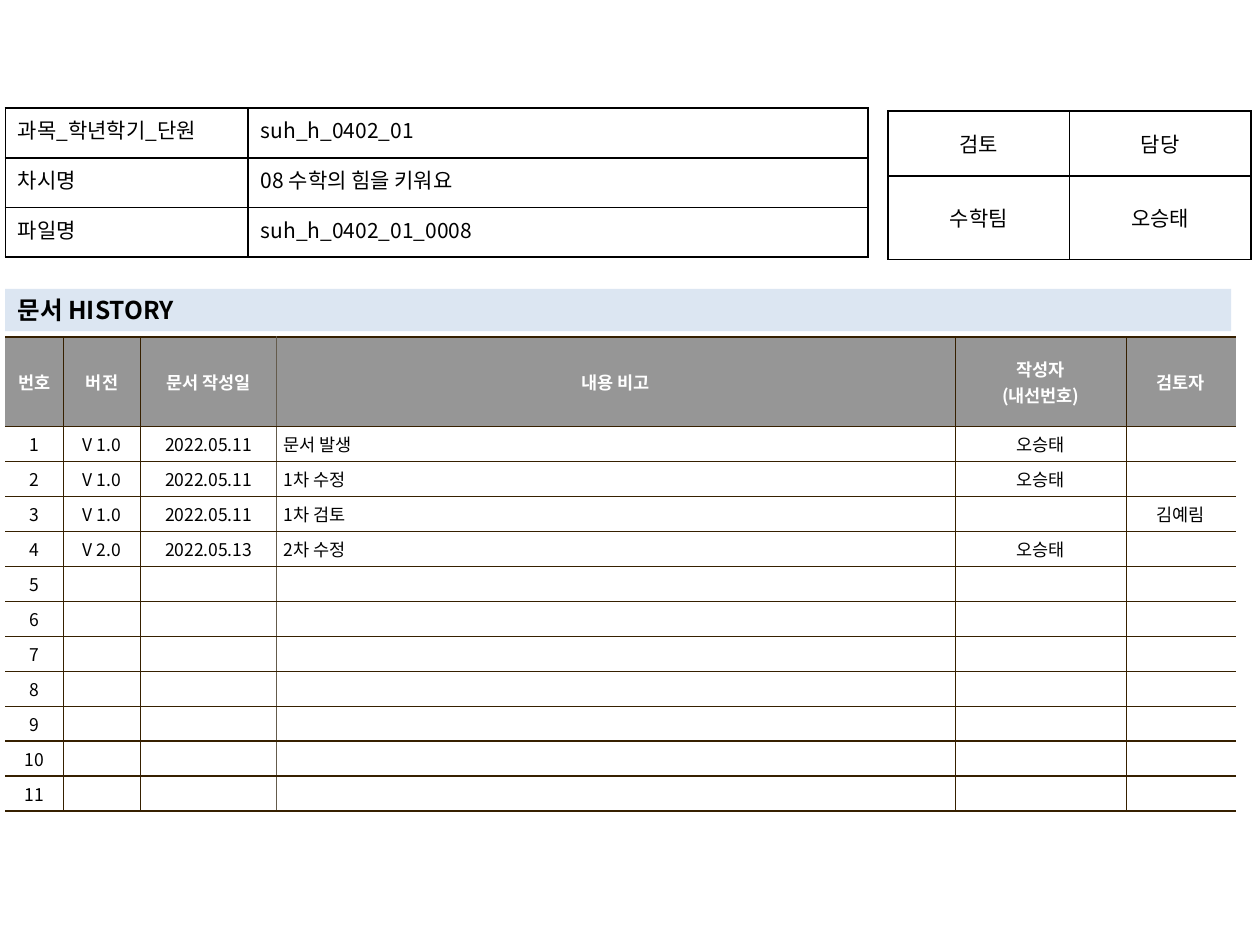
"""Build the document history slide: file details, approval box and revision table."""
from lxml import etree
from pptx import Presentation
from pptx.dml.color import RGBColor
from pptx.enum import shapes, text
from pptx.oxml import ns
from pptx.util import Pt

FONT = "Noto Sans CJK KR"
BLACK = RGBColor(0x00, 0x00, 0x00)
WHITE = RGBColor(0xFF, 0xFF, 0xFF)
GRAY = RGBColor(0x96, 0x96, 0x96)
PALE_BLUE = RGBColor(0xDC, 0xE6, 0xF2)
BROWN = RGBColor(0x36, 0x20, 0x00)
TAUPE = RGBColor(0x64, 0x5B, 0x4C)

LEFT = text.PP_ALIGN.LEFT
CENTER = text.PP_ALIGN.CENTER
JUSTIFY = text.PP_ALIGN.JUSTIFY
TOP = text.MSO_ANCHOR.TOP
MIDDLE = text.MSO_ANCHOR.MIDDLE

DETAILS = [
    ("과목_학년학기_단원", "suh_h_0402_01"),
    ("차시명", "08 수학의 힘을 키워요"),
    ("파일명", "suh_h_0402_01_0008"),
]
APPROVAL = [("검토", "담당"), ("수학팀", "오승태")]
HEADING = "문서 HISTORY"
HISTORY_HEADER = ("번호", "버전", "문서 작성일", "내용 비고", "작성자\n(내선번호)", "검토자")
REVISIONS = [
    ("V 1.0", "2022.05.11", "문서 발생", "오승태", ""),
    ("V 1.0", "2022.05.11", "1차 수정", "오승태", ""),
    ("V 1.0", "2022.05.11", "1차 검토", "", "김예림"),
    ("V 2.0", "2022.05.13", "2차 수정", "오승태", ""),
]
REVISION_ROWS = 11
NOTE_COLUMN = 3


def format_text(frame, size, color, alignment, bold=False):
    for paragraph in frame.paragraphs:
        paragraph.alignment = alignment
        font = paragraph.font
        font.size, font.name, font.bold = Pt(size), FONT, bold
        font.color.rgb = color
        defaults = paragraph._p.pPr.find(ns.qn("a:defRPr"))
        etree.SubElement(defaults, ns.qn("a:ea"), typeface=FONT)
        if not paragraph.runs:
            etree.SubElement(paragraph._p, ns.qn("a:endParaRPr"), sz=str(size * 100))


def set_borders(cell, left, right, top, bottom):
    properties = cell._tc.get_or_add_tcPr()
    for side, color in zip("LRTB", (left, right, top, bottom)):
        line = etree.SubElement(properties, ns.qn(f"a:ln{side}"), w=str(Pt(1)))
        if color is None:
            etree.SubElement(line, ns.qn("a:noFill"))
        else:
            fill = etree.SubElement(line, ns.qn("a:solidFill"))
            etree.SubElement(fill, ns.qn("a:srgbClr"), val=str(color))


def add_grid(slide, rows, left, top, widths, heights, verticals, horizontal,
             alignments, anchor, size, margins, fill=None, header_fill=None):
    table = slide.shapes.add_table(
        len(rows), len(widths), Pt(left), Pt(top), Pt(sum(widths)), Pt(sum(heights))
    ).table
    table.first_row = table.horz_banding = False
    for column, width in zip(table.columns, widths):
        column.width = Pt(width)
    for row_index, (row, values) in enumerate(zip(table.rows, rows)):
        row.height = Pt(heights[row_index])
        is_header = header_fill is not None and row_index == 0
        cell_fill = header_fill if is_header else fill
        for index, (cell, value) in enumerate(zip(row.cells, values)):
            set_borders(cell, verticals[index], verticals[index + 1], horizontal, horizontal)
            if cell_fill is None:
                cell.fill.background()
            else:
                cell.fill.solid()
                cell.fill.fore_color.rgb = cell_fill
            cell.margin_left = cell.margin_right = Pt(margins[0])
            cell.margin_top = cell.margin_bottom = Pt(margins[1])
            cell.vertical_anchor = anchor
            cell.text_frame.text = value
            format_text(cell.text_frame, size, WHITE if is_header else BLACK,
                        CENTER if is_header else alignments[index], is_header)


def add_heading(slide):
    heading = slide.shapes.add_shape(
        shapes.MSO_SHAPE.RECTANGLE, Pt(3), Pt(165), Pt(700.5), Pt(24.3))
    heading.shadow.inherit = False
    heading.fill.solid()
    heading.fill.fore_color.rgb = PALE_BLUE
    heading.line.fill.background()
    frame = heading.text_frame
    frame.word_wrap = True
    frame.vertical_anchor = MIDDLE
    frame.text = HEADING
    format_text(frame, 14, BLACK, LEFT, bold=True)


def main():
    presentation = Presentation()
    presentation.slide_width, presentation.slide_height = Pt(720), Pt(540)
    slide = presentation.slides.add_slide(presentation.slide_layouts[6])

    blank = ("",) * (len(HISTORY_HEADER) - 1)
    revisions = REVISIONS + [blank] * (REVISION_ROWS - len(REVISIONS))
    history = [HISTORY_HEADER]
    history += [(str(number), *row) for number, row in enumerate(revisions, 1)]
    alignments = [CENTER] * len(HISTORY_HEADER)
    alignments[NOTE_COLUMN] = LEFT

    add_grid(slide, history, 3, 192.7, (33.2, 44.2, 77.6, 388, 97.7, 62.4),
             [51] + [17.8] * REVISION_ROWS,
             (None, BROWN, BROWN, TAUPE, BROWN, BROWN, None), BROWN,
             alignments, MIDDLE, 10, (4.2, 2.8), WHITE, GRAY)
    add_grid(slide, APPROVAL, 507.5, 63.3, (103.7, 103.7), (37.2, 47.8),
             (BLACK,) * 3, BLACK, (CENTER, CENTER), MIDDLE, 12, (7.2, 3.6))
    add_heading(slide)
    add_grid(slide, DETAILS, 3, 61.8, (138.8, 354.2), (28.4,) * 3,
             (BLACK,) * 3, BLACK, (JUSTIFY, LEFT), TOP, 12, (7.2, 3.6))

    presentation.save("out.pptx")


if __name__ == "__main__":
    main()
